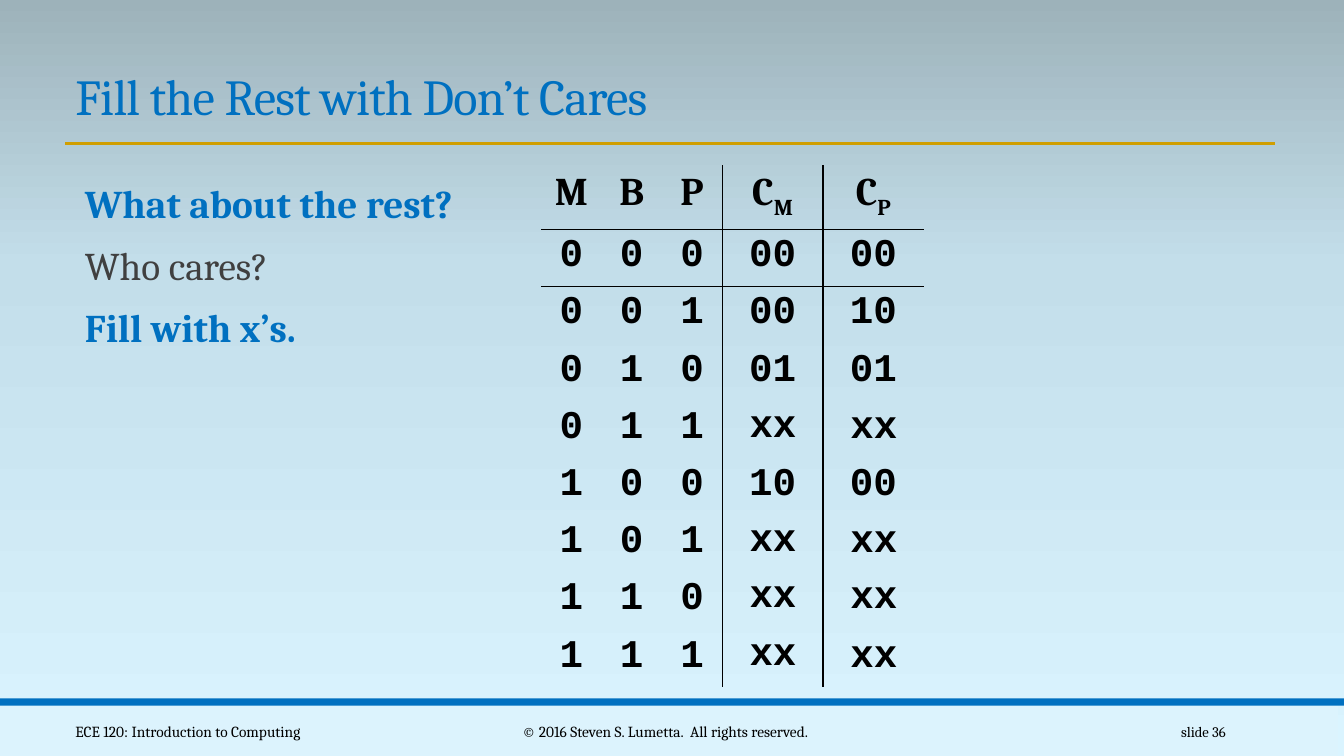
"""Builds a slide with a truth table whose open outputs are filled with don't cares."""
from copy import deepcopy
from dataclasses import dataclass, replace

from lxml import etree
from pptx import Presentation
from pptx import util as u
from pptx.dml import color
from pptx.enum import shapes, text
from pptx.oxml import ns
from pptx.util import Cm

BLUE, GOLD, BLACK, GREY = "0070C0", "D09E00", "000000", "404040"
SERIF, MONO = "Cambria", "Courier New"
LEFT, CENTER, RIGHT = text.PP_ALIGN.LEFT, text.PP_ALIGN.CENTER, text.PP_ALIGN.RIGHT
TOP, MIDDLE, BOTTOM = text.MSO_ANCHOR.TOP, text.MSO_ANCHOR.MIDDLE, text.MSO_ANCHOR.BOTTOM
NO_GRID_STYLE = "{2D5ABB26-0587-4C30-8999-92F81FD0307C}"


@dataclass(frozen=True)
class Run:
    text: str
    size: float = 28
    color: str = BLACK
    bold: bool = False
    font: str = SERIF
    baseline: int = 0
    spacing: int = 0


@dataclass(frozen=True)
class Label:
    left: float
    top: float
    width: float
    height: float
    run: Run
    align: text.PP_ALIGN = LEFT
    anchor: text.MSO_ANCHOR = MIDDLE
    wrap: bool = True


@dataclass(frozen=True)
class Band:
    left: float
    top: float
    height: float
    fill: str


SYMBOL = Run("xx", bold=True, font=MONO)
HEADING = Run("", bold=True)
TITLE = Label(1.65, 1.5, 30.5, 1.8,
              Run("Fill the Rest with Don’t Cares", 36, BLUE, spacing=-50), anchor=BOTTOM)
FOOTERS = (
    Label(1.65, 17.93, 8.26, 1.02, Run("ECE 120: Introduction to Computing", 11)),
    Label(10.24, 17.93, 13.06, 1.02,
          Run("© 2016 Steven S. Lumetta.  All rights reserved.", 11), CENTER),
    Label(27.51, 17.93, 3.63, 1.02, Run("slide 36", 10.5), RIGHT),
)
BANDS = (Band(-0.15, 17.78, 1.27, "DCF3FD"), Band(0, 17.6, 0.18, BLUE))
REMARKS = (
    Run("What about the rest?", color=BLUE, bold=True),
    Run("Who cares?", color=GREY),
    Run("Fill with x’s.", color=BLUE, bold=True),
)
SKY = ((0, "DAF4FF"), (0.65, "C3DEEA"), (1, "9DB2BA"))
HEADINGS = ("M", "B", "P", "C M", "C P")
OUTPUTS = {0: ("00", "00"), 1: ("00", "10"), 2: ("01", "01"), 4: ("10", "00")}
COLUMN_WIDTHS = (1.52, 1.52, 1.52, 2.54, 2.54)
ROW_HEIGHTS = (1.19, 1.37, 1.37, 1.37, 1.37, 0.99, 1.37, 1.37, 1.37)
DONT_CARE_TOPS = (9.91, 12.78, 14.2, 15.67)


def rgb(code: str) -> color.RGBColor:
    return color.RGBColor.from_string(code)


def add_run(paragraph, spec_run: Run) -> None:
    run = paragraph.add_run()
    run.text = spec_run.text
    font = run.font
    font.size, font.bold, font.name = u.Pt(spec_run.size), spec_run.bold, spec_run.font
    font.color.rgb = rgb(spec_run.color)
    properties = run._r.get_or_add_rPr()
    if spec_run.baseline:
        properties.set("baseline", str(spec_run.baseline))
    if spec_run.spacing:
        properties.set("spc", str(spec_run.spacing))


def add_label(slide, label: Label):
    box = slide.shapes.add_textbox(Cm(label.left), Cm(label.top), Cm(label.width), Cm(label.height))
    frame = box.text_frame
    frame.word_wrap, frame.vertical_anchor = label.wrap, label.anchor
    paragraph = frame.paragraphs[0]
    paragraph.alignment = label.align
    add_run(paragraph, label.run)
    return frame


def paint_background(slide) -> None:
    fill = slide.background.fill
    fill.gradient()
    fill.gradient_angle = 90
    stop_list = slide.element.find(".//" + ns.qn("a:gsLst"))
    stop_list.append(deepcopy(stop_list[-1]))
    for stop, (position, code) in zip(fill.gradient_stops, SKY):
        stop.position = position
        stop.color.rgb = rgb(code)


def add_band(slide, band: Band) -> None:
    bar = slide.shapes.add_shape(shapes.MSO_SHAPE.RECTANGLE, Cm(band.left), Cm(band.top),
                                 Cm(33.87), Cm(band.height))
    bar.shadow.inherit = False
    bar.fill.solid()
    bar.fill.fore_color.rgb = rgb(band.fill)
    bar.line.fill.background()


def add_title_rule(slide) -> None:
    rule = slide.shapes.add_connector(shapes.MSO_CONNECTOR.STRAIGHT,
                                      Cm(1.65), Cm(3.61), Cm(32.13), Cm(3.61))
    rule.line.color.rgb = rgb(GOLD)
    rule.line.width = u.Pt(2)
    etree.SubElement(rule._element.spPr, ns.qn("a:effectLst"))


def add_remarks(slide) -> None:
    frame = add_label(slide, Label(1.65, 4.52, 21.64, 11.79, REMARKS[0], anchor=TOP))
    frame.margin_left = frame.margin_right = 0
    for remark in REMARKS[1:]:
        add_run(frame.add_paragraph(), remark)
    for paragraph in frame.paragraphs:
        paragraph.line_spacing = 0.9
        paragraph.space_before, paragraph.space_after = u.Pt(12), u.Pt(2)
        properties = paragraph._p.get_or_add_pPr()
        properties.set("marL", str(Cm(0.25)))
        properties.set("indent", str(-Cm(0.25)))
        etree.SubElement(properties, ns.qn("a:buChar"), char=" ")


def add_borders(cell, sides: str) -> None:
    properties = cell._tc.get_or_add_tcPr()
    for index, side in enumerate(sides):
        border = etree.Element(ns.qn(f"a:ln{side}"), w=str(u.Pt(1)))
        solid = etree.SubElement(border, ns.qn("a:solidFill"))
        etree.SubElement(solid, ns.qn("a:srgbClr"), val=BLACK)
        properties.insert(index, border)


def cell_runs(row: int, column: int) -> list[Run]:
    if row == 0:
        name, *subscript = HEADINGS[column].split()
        return [replace(HEADING, text=name),
                *(replace(HEADING, text=part, baseline=-25000) for part in subscript)]
    state = row - 1
    if column < 3:
        return [replace(SYMBOL, text=f"{state:03b}"[column])]
    return [replace(SYMBOL, text=OUTPUTS[state][column - 3])] if state in OUTPUTS else []


def add_truth_table(slide) -> None:
    frame = slide.shapes.add_table(len(ROW_HEIGHTS), len(COLUMN_WIDTHS), Cm(13.64), Cm(4.17),
                                   Cm(sum(COLUMN_WIDTHS)), Cm(sum(ROW_HEIGHTS)))
    table = frame.table
    table.first_row = table.horz_banding = False
    table._tbl.tblPr.find(ns.qn("a:tableStyleId")).text = NO_GRID_STYLE
    for column, width in zip(table.columns, COLUMN_WIDTHS):
        column.width = Cm(width)
    for row, height in enumerate(ROW_HEIGHTS):
        table.rows[row].height = Cm(height)
        for column in range(len(COLUMN_WIDTHS)):
            cell = table.cell(row, column)
            cell.fill.background()
            add_borders(cell, {2: "R", 3: "L"}.get(column, "") + {0: "B", 1: "T"}.get(row, ""))
            paragraph = cell.text_frame.paragraphs[0]
            paragraph.alignment = CENTER
            for run in cell_runs(row, column):
                add_run(paragraph, run)


def main() -> None:
    deck = Presentation()
    deck.slide_width, deck.slide_height = Cm(33.87), Cm(19.05)
    slide = deck.slides.add_slide(deck.slide_layouts[6])
    paint_background(slide)
    for band in BANDS:
        add_band(slide, band)
    add_title_rule(slide)
    for label in (TITLE, *FOOTERS):
        frame = add_label(slide, label)
        if label is TITLE:
            frame.paragraphs[0].line_spacing = 0.85
    add_remarks(slide)
    add_truth_table(slide)
    for top in DONT_CARE_TOPS:
        for output in range(2):
            frame = add_label(slide, Label(18.64 + 2.54 * output, top + 0.03 * output, 1.7, 1.45,
                                           SYMBOL, anchor=TOP, wrap=False))
            frame.auto_size = text.MSO_AUTO_SIZE.SHAPE_TO_FIT_TEXT
    deck.save("out.pptx")


if __name__ == "__main__":
    main()
